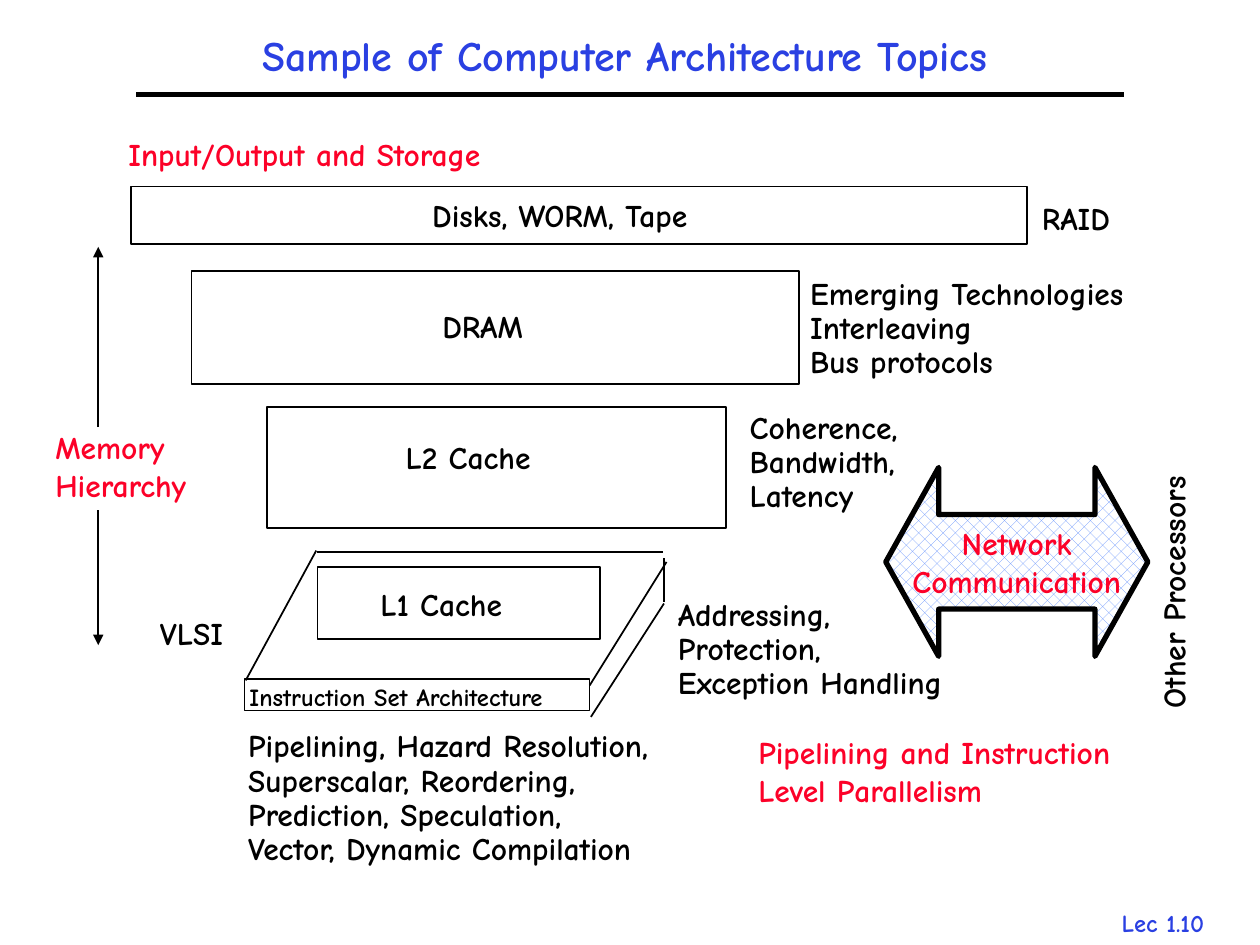
from pptx import Presentation
from pptx.dml.color import RGBColor
from pptx.enum.dml import MSO_PATTERN
from pptx.enum.shapes import MSO_CONNECTOR, MSO_SHAPE
from pptx.enum.text import MSO_ANCHOR, MSO_AUTO_SIZE, PP_ALIGN
from pptx.oxml.ns import qn
from pptx.util import Inches, Pt
from lxml.etree import SubElement

BLACK = RGBColor(0x00, 0x00, 0x00)
WHITE = RGBColor(0xFF, 0xFF, 0xFF)
BLUE = RGBColor(0x2A, 0x40, 0xE2)
LIGHT_BLUE = RGBColor(0x61, 0x8F, 0xFD)
RED = RGBColor(0xFC, 0x01, 0x28)
FONT = "Comic Neue"
TIGHT = (0.07, 0.03)
LOOSE = (0.1, 0.05)


def write_lines(shape, lines, color, size=18, align=PP_ALIGN.LEFT, spacing=None, insets=LOOSE):
    """Fill a shape with one bold paragraph per line."""
    frame = shape.text_frame
    frame.word_wrap = False
    frame.margin_left = frame.margin_right = Inches(insets[0])
    frame.margin_top = frame.margin_bottom = Inches(insets[1])
    for index, line in enumerate(lines):
        paragraph = frame.add_paragraph() if index else frame.paragraphs[0]
        paragraph.alignment = align
        paragraph.line_spacing = spacing
        run = paragraph.add_run()
        run.text = line
        run.font.name = FONT
        run.font.size = Pt(size)
        run.font.bold = True
        run.font.color.rgb = color
    return frame


def add_label(slide, box, lines, color, **style):
    """Add a text box that grows with its lines."""
    label = slide.shapes.add_textbox(*map(Inches, box))
    frame = write_lines(label, lines, color, **style)
    frame.auto_size = MSO_AUTO_SIZE.SHAPE_TO_FIT_TEXT
    return label


def add_topic(slide, box, lines, size=18):
    """Add a black label with tight margins and line spacing."""
    return add_label(slide, box, lines, BLACK, size=size, spacing=0.9, insets=TIGHT)


def add_line(slide, start, end, width=1, arrow=False):
    """Add a straight black line, with an optional arrowhead at its end."""
    line = slide.shapes.add_connector(MSO_CONNECTOR.STRAIGHT, *map(Inches, (*start, *end)))
    line.line.color.rgb = BLACK
    line.line.width = Pt(width)
    if arrow:
        SubElement(line.line._get_or_add_ln(), qn("a:tailEnd"), type="triangle")
    SubElement(line._element.spPr, qn("a:effectLst"))


def add_frame(slide, box):
    """Add an unfilled rectangle with a thin black outline."""
    rectangle = slide.shapes.add_shape(MSO_SHAPE.RECTANGLE, *map(Inches, box))
    rectangle.shadow.inherit = False
    rectangle.fill.background()
    rectangle.line.color.rgb = BLACK
    rectangle.line.width = Pt(1)


def add_header(slide, box):
    """Add the title with the rule under it."""
    left, top, width, height = box
    title = slide.shapes.add_textbox(*map(Inches, box))
    frame = write_lines(title, ["Sample of Computer Architecture Topics"], BLUE,
                        size=24, align=PP_ALIGN.CENTER, spacing=0.9)
    frame.word_wrap = True
    frame.vertical_anchor = MSO_ANCHOR.MIDDLE
    rule = top + height + 0.08
    add_line(slide, (left + 0.08, rule), (left + width, rule), width=3)


def add_tier(slide, box, name, name_box):
    """Add one level of the memory hierarchy, its name offset from the frame."""
    left, top = box[:2]
    dx, dy, width = name_box
    add_frame(slide, box)
    add_topic(slide, (left + dx, top + dy, width, 0.33), [name])


def add_instruction_set(slide, box):
    """Add the slab that stands for the instruction set."""
    left, top, width, height = box
    right, front = left + width, top + height
    edges = [
        ((left + 0.01, front - 0.29), (left + 0.57, top)),
        ((left + 0.58, top + 0.01), (right - 0.03, top + 0.01)),
        ((right, top + 0.09), (right - 0.61, front - 0.25)),
        ((right - 0.02, top + 0.06), (right - 0.02, top + 0.41)),
        ((right - 0.02, top + 0.42), (right - 0.6, front)),
    ]
    for start, end in edges:
        add_line(slide, start, end)
    add_frame(slide, (left, front - 0.3, width - 0.61, 0.25))
    add_topic(slide, (left - 0.03, front - 0.28, 2.89, 0.27),
              ["Instruction Set Architecture"], size=14)


def add_hierarchy_axis(slide, box):
    """Add the memory hierarchy label between its two arrows."""
    left, top, width, height = box
    axis = left + 0.44
    add_line(slide, (axis, top + 1.43), (axis, top), arrow=True)
    add_line(slide, (axis, top + 2.09), (axis, top + height), arrow=True)
    add_label(slide, (left, top + 1.39, width, 0.7), ["Memory", "Hierarchy"], RED)


def add_network(slide, box):
    """Add the network arrow and the processors beside it."""
    left, top, width, height = box
    arrow = slide.shapes.add_shape(MSO_SHAPE.LEFT_RIGHT_ARROW, *map(Inches, box))
    arrow.adjustments[0] = 0.5
    arrow.adjustments[1] = 0.28
    arrow.shadow.inherit = False
    arrow.fill.patterned()
    arrow.fill.pattern = MSO_PATTERN.PERCENT_30
    arrow.fill.fore_color.rgb = LIGHT_BLUE
    arrow.fill.back_color.rgb = WHITE
    arrow.line.color.rgb = BLACK
    arrow.line.width = Pt(3)
    frame = write_lines(arrow, ["Network", "Communication"], RED, align=PP_ALIGN.CENTER)
    frame.vertical_anchor = MSO_ANCHOR.MIDDLE
    processors = add_label(slide, (left + width - 1.01, top + 0.6, 2.42, 0.4),
                           ["Other Processors"], BLACK)
    processors.text_frame.word_wrap = True
    processors.rotation = 270


def main():
    """Build the slide and save it."""
    presentation = Presentation()
    presentation.slide_width = Inches(10)
    presentation.slide_height = Inches(7.5)
    slide = presentation.slides.add_slide(presentation.slide_layouts[6])

    add_label(slide, (8.63, 7.16, 1.2, 0.33), ["Lec 1.10"], BLUE, size=14, align=PP_ALIGN.CENTER)
    add_header(slide, (1, 0.25, 7.92, 0.42))
    add_instruction_set(slide, (1.94, 4.37, 3.35, 1.32))
    tiers = [
        ((2.52, 4.5, 2.24, 0.57), "L1 Cache", (0.43, 0.15, 1.24)),
        ((2.12, 3.23, 3.64, 0.96), "L2 Cache", (1.03, 0.25, 1.24)),
        ((1.52, 2.15, 4.82, 0.9), "DRAM", (1.92, 0.29, 0.88)),
        ((1.04, 1.48, 7.11, 0.46), "Disks, WORM, Tape", (2.32, 0.08, 2.62)),
    ]
    for tier in tiers:
        add_tier(slide, *tier)
    topics = [
        ((1.9, 5.77, 3.72, 1.14), ["Pipelining, Hazard Resolution,", "Superscalar, Reordering,",
                                   "Prediction, Speculation,", "Vector, Dynamic Compilation"]),
        ((5.31, 4.73, 2.41, 0.87), ["Addressing,", "Protection,", "Exception Handling"]),
        ((5.88, 3.24, 1.48, 0.87), ["Coherence,", "Bandwidth,", "Latency"]),
        ((6.36, 2.18, 2.83, 0.87), ["Emerging Technologies", "Interleaving", "Bus protocols"]),
        ((8.2, 1.58, 0.8, 0.33), ["RAID"]),
        ((1.2, 4.88, 0.76, 0.33), ["VLSI"]),
    ]
    for topic in topics:
        add_topic(slide, *topic)
    add_label(slide, (0.92, 1.02, 3.39, 0.4), ["Input/Output and Storage"], RED)
    add_hierarchy_axis(slide, (0.34, 1.96, 1.39, 3.16))
    add_label(slide, (5.92, 5.77, 3.35, 0.7),
              ["Pipelining and Instruction", "Level Parallelism"], RED)
    add_network(slide, (7.03, 3.71, 2.08, 1.5))
    presentation.save("out.pptx")


if __name__ == "__main__":
    main()
